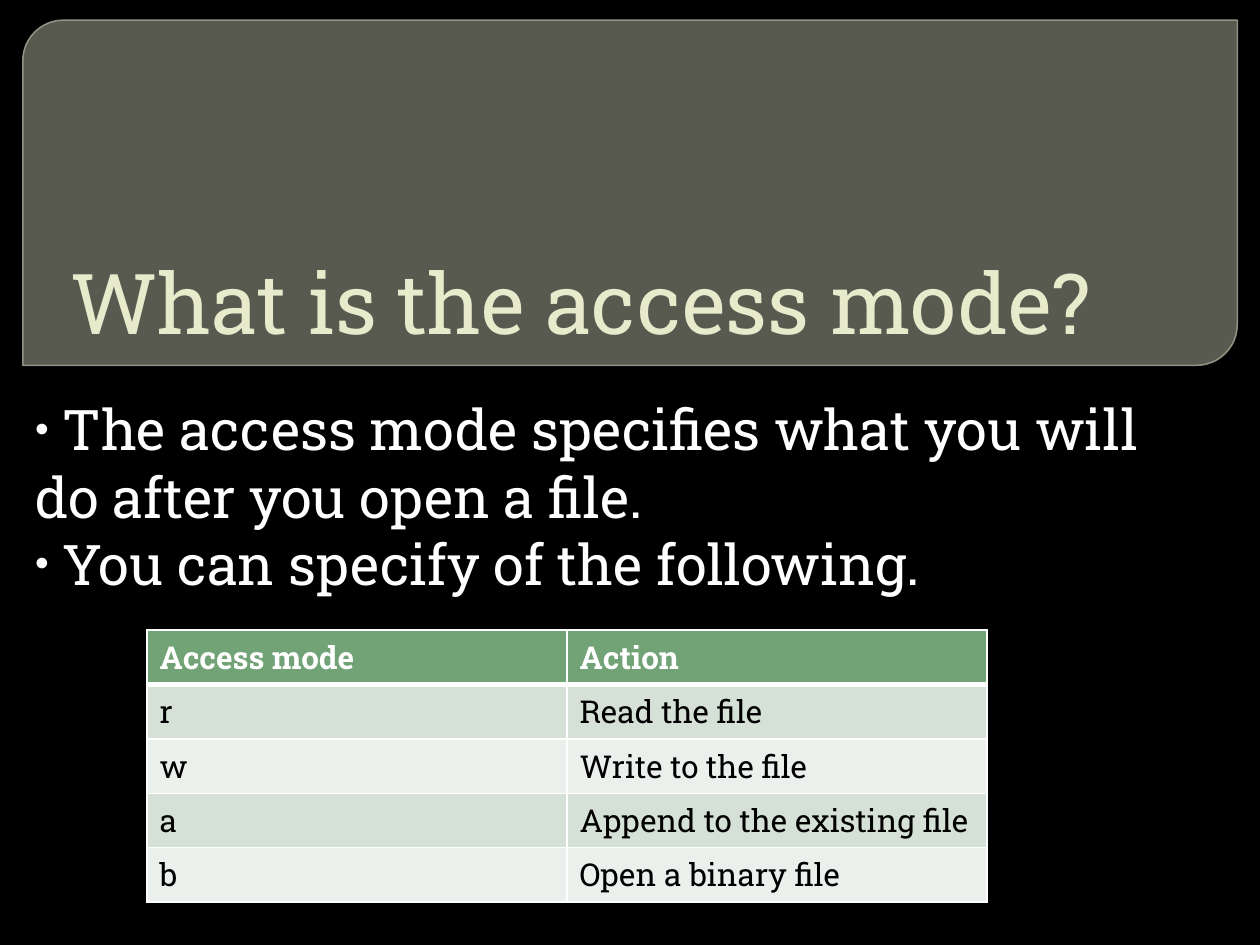
from lxml import etree
from pptx import Presentation
from pptx.dml.color import RGBColor
from pptx.enum.shapes import MSO_SHAPE
from pptx.enum.text import MSO_ANCHOR, MSO_AUTO_SIZE, PP_ALIGN
from pptx.oxml.ns import qn
from pptx.util import Pt

PANEL = MSO_SHAPE.ROUND_2_DIAG_RECTANGLE
BOTTOM, TOP = MSO_ANCHOR.BOTTOM, MSO_ANCHOR.TOP
LEFT, NONE = PP_ALIGN.LEFT, MSO_AUTO_SIZE.NONE
FONT = "Roboto Slab"


def tint(color, code):
    color.rgb = RGBColor.from_string(code)


def style(frame, size, code, bold=False):
    for par in frame.paragraphs:
        par.alignment = LEFT
        for run in par.runs:
            run.font.name = FONT
            run.font.size = Pt(size)
            run.font.bold = bold
            tint(run.font.color, code)


deck = Presentation()
deck.slide_width, deck.slide_height = Pt(720), Pt(540)
slide = deck.slides.add_slide(deck.slide_layouts[0])
back = slide.background.fill
back.solid()
tint(back.fore_color, "000000")

panel = slide.shapes.add_shape(PANEL, Pt(13), Pt(11.5), Pt(694), Pt(197.3))
panel.adjustments[0] = 0.118
panel.adjustments[1] = 0
panel.shadow.inherit = False
panel.fill.solid()
tint(panel.fill.fore_color, "888B7B")
tint(panel.line.color, "9DA090")
panel.line.width = Pt(0.87)
tones = panel._element.spPr.findall(".//" + qn("a:srgbClr"))
for tone, alpha in zip(tones, ("65000", "88000")):
    etree.SubElement(tone, qn("a:alpha")).set("val", alpha)
slide.shapes._spTree.insert(2, panel._element)

title, body = slide.placeholders
title.text_frame.text = "What is the access mode?"
body.text_frame.text = (
    " The access mode specifies what you will do after you open a file.\n"
    " You can specify of the following."
)
for item, box, anchor, inset, size, code in (
    (title, (36.5, 30, 648, 174.5), BOTTOM, 18, 48, "E7EACB"),
    (body, (16.5, 222, 667.5, 278.5), TOP, 19.5, 32, "FFFFFF"),
):
    item.left, item.top, item.width, item.height = map(Pt, box)
    frame = item.text_frame
    frame.auto_size = NONE
    frame.word_wrap = True
    frame.vertical_anchor = anchor
    frame.margin_left = frame.margin_top = frame.margin_bottom = Pt(3.6)
    frame.margin_right = Pt(inset)
    style(frame, size, code)

for par in body.text_frame.paragraphs:
    par.space_before = Pt(0)
    props = par._p.get_or_add_pPr()
    props.set("marL", "0")
    props.set("indent", "0")
    shade = etree.SubElement(props, qn("a:buClr"))
    etree.SubElement(shade, qn("a:srgbClr")).set("val", "FFFFFF")
    etree.SubElement(props, qn("a:buSzPct")).set("val", "70000")
    etree.SubElement(props, qn("a:buChar")).set("char", "•")

modes = (
    ("Access mode", "Action"),
    ("r", "Read the file"),
    ("w", "Write to the file"),
    ("a", "Append to the existing file"),
    ("b", "Open a binary file"),
)
grid = slide.shapes.add_table(5, 2, Pt(84), Pt(360), Pt(480), Pt(155.5)).table
for r, texts in enumerate(modes):
    head = r == 0
    for c, text in enumerate(texts):
        cell = grid.cell(r, c)
        cell.text_frame.text = text
        style(cell.text_frame, 18, "FFFFFF" if head else "000000", head)
        props = cell._tc.get_or_add_tcPr()
        for side in ("lnL", "lnR", "lnT", "lnB"):
            thick = (head and side == "lnB") or (r == 1 and side == "lnT")
            edge = etree.SubElement(props, qn("a:" + side))
            edge.set("w", str(Pt(3 if thick else 1)))
            paint = etree.SubElement(edge, qn("a:solidFill"))
            etree.SubElement(paint, qn("a:srgbClr")).set("val", "FFFFFF")
        cell.fill.solid()
        band = "D5E0D6" if r % 2 else "EBF0EC"
        tint(cell.fill.fore_color, "72A376" if head else band)

deck.save("out.pptx")
